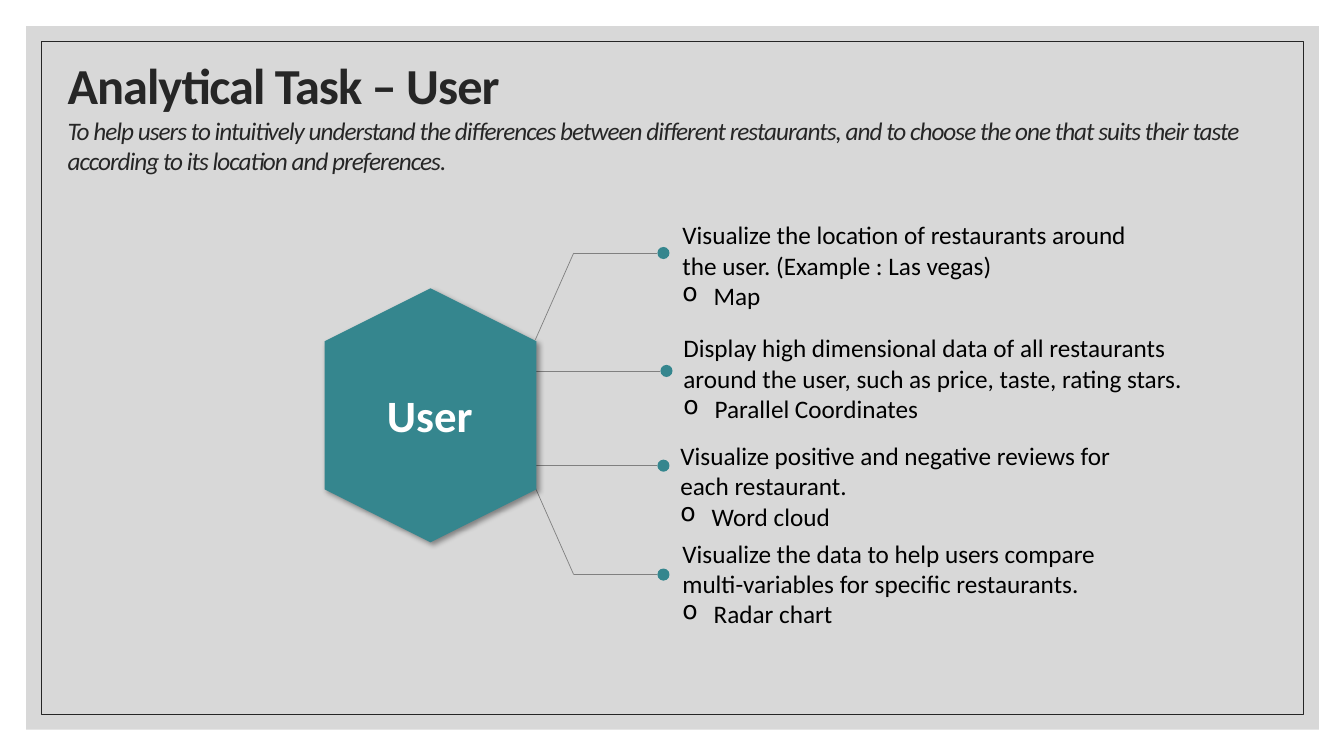
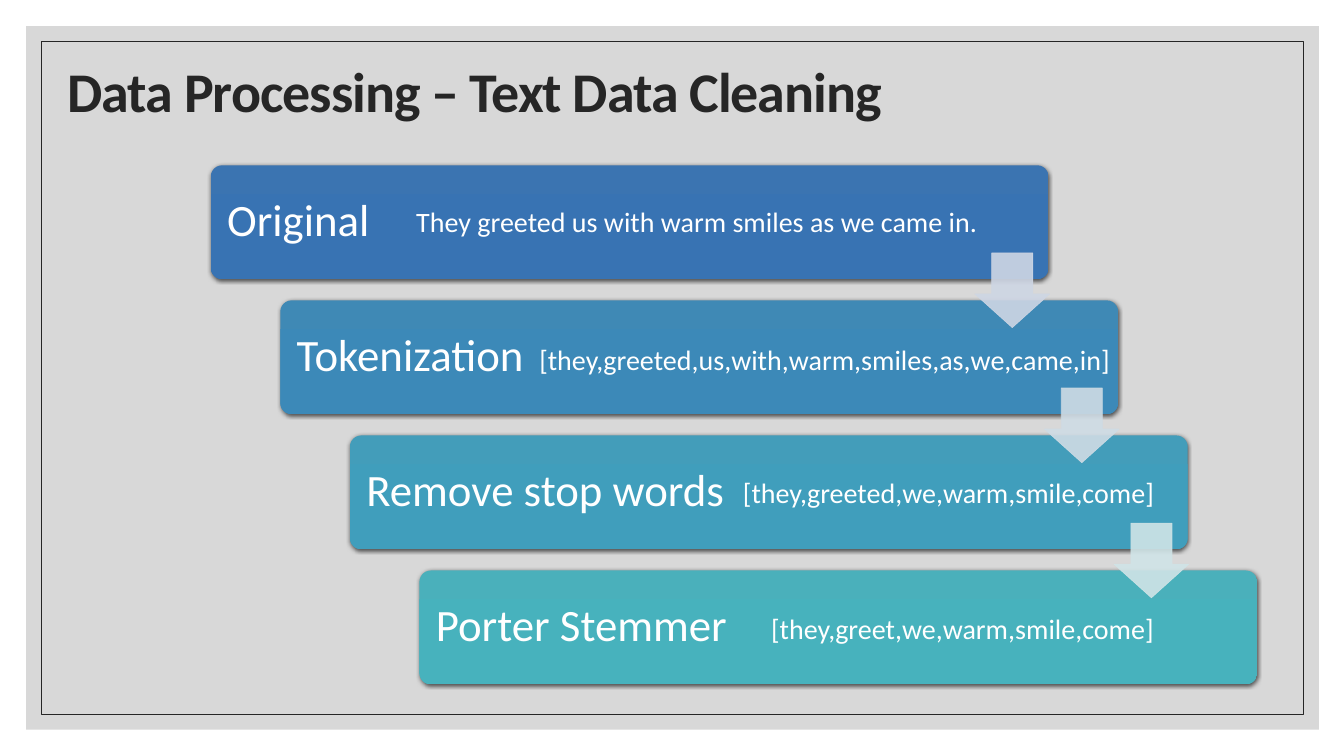
from lxml import etree
from pptx import Presentation
from pptx.dml.color import RGBColor
from pptx.enum import shapes, text
from pptx.oxml.ns import qn
from pptx.util import Inches, Pt

FONT = "Calibri"
COLORS = {
    "panel": "BFBFBF", "ink": "262626", "teal": "35868E", "line": "808080",
    "black": "000000", "white": "FFFFFF",
}
SHAPE = shapes.MSO_SHAPE

# line height, bend height on the hexagon (None for a straight line), dot left,
# text box (left, top, width), task, chart
CALLOUTS = [
    (2.51, 3.37, 6.52, (6.67, 2.13, 4.87),
     "Visualize the location of restaurants around the user. (Example : Las vegas)",
     "Map"),
    (3.68, None, 6.55, (6.68, 3.25, 5.36),
     "Display high dimensional data of all restaurants around the user, "
     "such as price, taste, rating stars.",
     "Parallel Coordinates"),
    (4.62, None, 6.52, (6.65, 4.32, 4.89),
     "Visualize positive and negative reviews for each restaurant.",
     "Word cloud"),
    (5.7, 4.84, 6.52, (6.67, 5.29, 4.54),
     "Visualize the data to help users compare multi-variables for specific restaurants.",
     "Radar chart"),
]

# label, gradient top and bottom, arrow to the next step, example box, example
STEPS = [
    ("Original", "3B74B1", "3873B3", "CED6E4", (4.03, 1.98, 5.82),
     "They greeted us with warm smiles as we came in."),
    ("Tokenization", "3F89B5", "3C89B8", "CFDCE5", (5.25, 3.35, 5.92),
     "[they,greeted,us,with,warm,smiles,as,we,came,in]"),
    ("Remove stop words", "439DBA", "409EBC", "D0E4E7", (7.27, 4.67, 4.32),
     "[they,greeted,we,warm,smile,come]"),
    ("Porter Stemmer", "4AB0BB", "47B2BD", None, (7.55, 6.02, 4.04),
     "[they,greet,we,warm,smile,come]"),
]
STEP_X, STEP_Y = 0.69, 1.34


def rgb(color):
    return RGBColor.from_string(COLORS.get(color, color))


def set_font(font, size, color, bold=False, italic=False):
    font.name, font.size, font.bold, font.italic = FONT, Pt(size), bold, italic
    font.color.rgb = rgb(color)


def set_alpha(properties, percent):
    """Make every solid colour below these shape properties translucent."""
    for color in properties.iter(qn("a:srgbClr")):
        etree.SubElement(color, qn("a:alpha"), val=str(percent * 1000))


def add_shape(page, kind, left, top, width, height, fill=None, line=None):
    shape = page.shapes.add_shape(
        kind, Inches(left), Inches(top), Inches(width), Inches(height))
    shape.shadow.inherit = False
    if fill:
        shape.fill.solid()
        shape.fill.fore_color.rgb = rgb(fill)
    else:
        shape.fill.background()
    if line:
        shape.line.color.rgb = rgb(line)
        shape.line.width = Pt(0.5)
    else:
        shape.line.fill.background()
    return shape


def add_shadow(shape, alpha, blur, distance, angle):
    effects = shape.element.spPr.find(qn("a:effectLst"))
    shadow = etree.SubElement(
        effects, qn("a:outerShdw"), blurRad=str(Pt(blur)), dist=str(Pt(distance)),
        dir=str(angle * 60000), rotWithShape="0")
    color = etree.SubElement(shadow, qn("a:srgbClr"), val=COLORS["black"])
    etree.SubElement(color, qn("a:alpha"), val=str(alpha * 1000))


def add_line(page, start, end):
    line = page.shapes.add_connector(
        shapes.MSO_CONNECTOR.STRAIGHT, *map(Inches, start + end))
    line.line.color.rgb = rgb("line")
    line.line.width = Pt(0.5)
    etree.SubElement(line.element.spPr, qn("a:effectLst"))


def add_text(page, left, top, width, height, lines, size, color, wrap=False, bold=False):
    box = page.shapes.add_textbox(
        Inches(left), Inches(top), Inches(width), Inches(height))
    frame = box.text_frame
    frame.word_wrap = wrap
    frame.auto_size = text.MSO_AUTO_SIZE.SHAPE_TO_FIT_TEXT
    frame.text = "\n".join(lines)
    for para in frame.paragraphs:
        set_font(para.font, size, color, bold)
    return box


def add_bullet(para):
    properties = para._p.get_or_add_pPr()
    properties.set("marL", str(Inches(0.31)))
    properties.set("indent", str(Inches(-0.31)))
    bullet = etree.Element(qn("a:buChar"), char="o")
    properties.insert(0, bullet)


def add_frame(page):
    """Build the panel and its border, then move them to the page's layout."""
    panel = add_shape(page, SHAPE.RECTANGLE, 0.26, 0.26, 12.82, 6.98, fill="panel")
    set_alpha(panel.element.spPr, 60)
    border = add_shape(page, SHAPE.RECTANGLE, 0.41, 0.41, 12.52, 6.68, line="ink")
    tree = page.slide_layout.element.cSld.spTree
    for position, shape in enumerate((panel, border), start=2):
        tree.insert(position, shape.element)


def set_title(page, height, heading, size, subtitle=None, spacing=None):
    title = page.shapes.title
    title.left, title.top = Inches(0.57), Inches(0.56)
    title.width, title.height = Inches(12.27), Inches(height)
    frame = title.text_frame
    frame.word_wrap = True
    frame.auto_size = text.MSO_AUTO_SIZE.NONE
    frame.vertical_anchor = text.MSO_ANCHOR.MIDDLE
    para = frame.paragraphs[0]
    para.alignment = text.PP_ALIGN.LEFT
    para.line_spacing = spacing
    span = para.add_run()
    span.text = heading
    set_font(span.font, size, "ink", bold=True)
    if subtitle:
        para.add_line_break()
        span = para.add_run()
        span.text = subtitle
        set_font(span.font, 18, "ink", italic=True)
    for span in para.runs:
        span._r.get_or_add_rPr().set("spc", "-70")


def add_callout(page, y, bend, dot_left, place, task, chart):
    if bend:
        add_line(page, (5.31, bend), (5.69, y))
    add_line(page, (5.69 if bend else 5.17, y), (dot_left, y))
    add_shape(page, SHAPE.OVAL, dot_left, y - 0.06, 0.12, 0.12, fill="teal")
    box = add_text(page, *place, 1.01, [task, chart], 18, "black", wrap=True)
    add_bullet(box.text_frame.paragraphs[1])


def add_step(page, left, top, label, upper, lower):
    bar = add_shape(page, SHAPE.ROUNDED_RECTANGLE, left, top, 8.31, 1.13)
    bar.adjustments[0] = 0.1
    bar.fill.gradient()
    bar.fill.gradient_angle = 270
    for stop, color, position in zip(bar.fill.gradient_stops, (upper, lower), (0, 0.5)):
        stop.color.rgb = rgb(color)
        stop.position = position
    add_shadow(bar, 63, 3, 1, 90)
    frame = bar.text_frame
    frame.margin_left = frame.margin_right = Inches(0.13)
    frame.vertical_anchor = text.MSO_ANCHOR.MIDDLE
    frame.text = label
    para = frame.paragraphs[0]
    para.alignment = text.PP_ALIGN.LEFT
    para.line_spacing = 0.9
    set_font(para.font, 32, "white")


def add_arrow(page, left, top, color):
    arrow = add_shape(page, SHAPE.DOWN_ARROW, left, top, 0.74, 0.74, color, color)
    arrow.adjustments[0], arrow.adjustments[1] = 0.55, 0.45
    set_alpha(arrow.element.spPr, 90)


def build_user_slide(page):
    set_title(
        page, 1.16, "Analytical Task – User", 36,
        "To help users to intuitively understand the differences between different "
        "restaurants, and to choose the one that suits their taste according to its "
        "location and preferences.")
    for callout in CALLOUTS:
        add_callout(page, *callout)
    hexagon = add_shape(page, SHAPE.HEXAGON, 3.01, 3.07, 2.52, 2.1, fill="teal")
    hexagon.rotation = 270
    add_shadow(hexagon, 40, 4, 3, 45)
    add_text(page, 3.74, 3.8, 1.06, 0.64, ["User"], 32, "white", bold=True)


def build_cleaning_slide(page):
    set_title(page, 0.76, "Data Processing – Text Data Cleaning", 40, spacing=0.9)
    for index, (label, upper, lower, *_) in enumerate(STEPS):
        add_step(page, 2.09 + index * STEP_X, 1.64 + index * STEP_Y, label, upper, lower)
    for index, (_, _, _, arrow, place, example) in enumerate(STEPS):
        if arrow:
            add_arrow(page, 9.67 + index * STEP_X, 2.51 + index * STEP_Y, arrow)
        add_text(page, *place, 0.44, [example], 20, "white")


def main():
    deck = Presentation()
    deck.slide_width, deck.slide_height = Inches(13.33), Inches(7.5)
    layout = deck.slide_layouts.get_by_name("Title Only")
    user_page, cleaning_page = (deck.slides.add_slide(layout) for _ in range(2))
    add_frame(user_page)
    build_user_slide(user_page)
    build_cleaning_slide(cleaning_page)
    deck.save("out.pptx")


if __name__ == "__main__":
    main()
